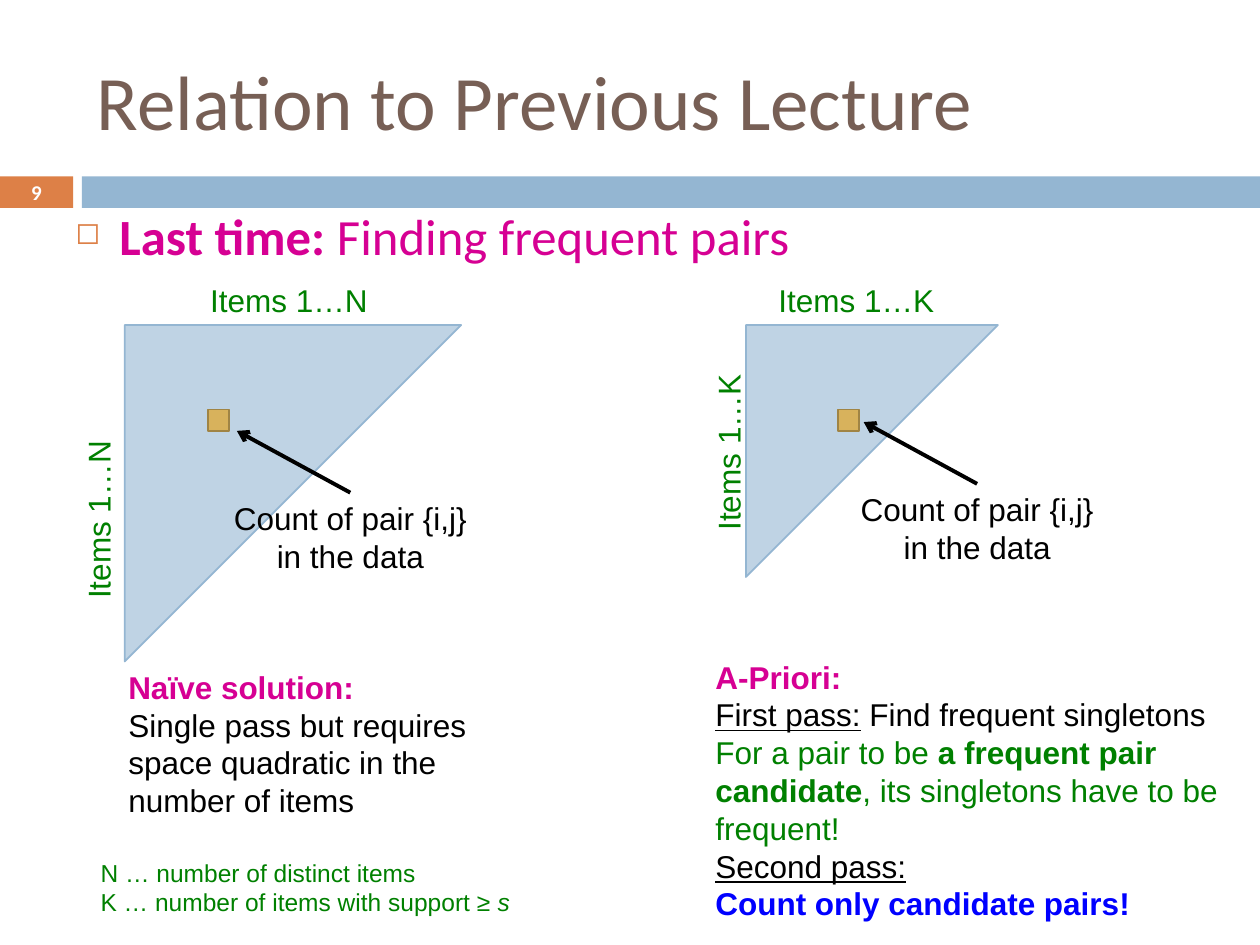
from lxml import etree
from pptx import Presentation
from pptx.dml.color import RGBColor
from pptx.enum.shapes import MSO_CONNECTOR, MSO_SHAPE
from pptx.enum.text import MSO_ANCHOR, PP_ALIGN
from pptx.oxml.ns import qn
from pptx.util import Inches, Pt

RECT, TRIANGLE = MSO_SHAPE.RECTANGLE, MSO_SHAPE.RIGHT_TRIANGLE
LEFT, CENTER = PP_ALIGN.LEFT, PP_ALIGN.CENTER
TOP, MIDDLE = MSO_ANCHOR.TOP, MSO_ANCHOR.MIDDLE

MAGENTA, GREEN, BLACK, BLUE = "D60093", "008000", "000000", "0000FF"
ORANGE, STEEL = "DD8047", "94B6D2"

# Content: a text is a list of paragraphs, a paragraph a list of (text, format)
BOLD, UNDER = {"bold": True}, {"underline": True}
TITLE = [[("Relation to Previous Lecture", {})]]
NUMBER = [[("9", BOLD)]]
TOPIC = [[("Last time:", BOLD), (" Finding frequent pairs", {})]]
COUNT = [[("Count of pair {i,j} in the data", {})]]
NAIVE = [[("Naïve solution:\n", {"bold": True, "color": MAGENTA}),
          ("Single pass but requires space quadratic in the number of items", {})]]
APRIORI = [
    [("A-Priori:\n", {"bold": True, "color": MAGENTA}),
     ("First pass:", UNDER), (" Find frequent singletons", {})],
    [("For a pair to be ", {"color": GREEN}),
     ("a frequent pair candidate", {"bold": True, "color": GREEN}),
     (", its singletons have to be frequent!\n", {"color": GREEN}),
     ("Second pass:", UNDER), ("\n", {}),
     ("Count only candidate pairs!", {"bold": True, "color": BLUE})],
]
LEGEND = [[("N … number of distinct items", {})],
          [("K … number of items with support ≥ ", {}), ("s", {"italic": True})]]

# Matrices: left edge, side, top label, side label, cell, count box, arrow start
MATRIX_TOP = 2.58
MATRICES = [
    {"label": "Items 1…N", "x": 0.99, "side": 2.67, "top_x": 1.57,
     "side_at": (0.05, 3.92), "cell_x": 1.65, "count": (1.74, 3.91, 2.08, 0.71)},
    {"label": "Items 1…K", "x": 5.92, "side": 2, "top_x": 6.08,
     "side_at": (5.05, 3.38), "cell_x": 6.65, "count": (6.67, 3.84, 2.17, 0.71)},
]
LABEL_SIZE = (1.46, 0.4)
CELL_Y, CELL = 3.25, 0.17
ARROW_RUN, ARROW_RISE = 0.9, 0.49


def rgb(value):
    return RGBColor.from_string(value)


def add_shape(s, kind, at, fill, line=None, rotation=0):
    shape = s.shapes.add_shape(kind, *map(Inches, at))
    shape.shadow.inherit = False
    shape.rotation = rotation
    shape.fill.solid()
    shape.fill.fore_color.rgb = rgb(fill)
    if line:
        shape.line.color.rgb = rgb(line)
        shape.line.width = Pt(1)
    else:
        shape.line.fill.background()


def add_text(s, at, paragraphs, size=18, color=BLACK, font="Arial",
             align=LEFT, anchor=TOP, wrap=True, rotation=0):
    box = s.shapes.add_textbox(*map(Inches, at))
    box.rotation = rotation
    tf = box.text_frame
    tf.word_wrap, tf.vertical_anchor = wrap, anchor
    for i, runs in enumerate(paragraphs):
        p = tf.add_paragraph() if i else tf.paragraphs[0]
        p.alignment = align
        for text, extra in runs:
            for j, piece in enumerate(text.split("\n")):
                if j:
                    p.add_line_break()
                if not piece:
                    continue
                r = p.add_run()
                r.text = piece
                look = {"name": font, "size": Pt(size), "color": color, **extra}
                r.font.color.rgb = rgb(look.pop("color"))
                for name, value in look.items():
                    setattr(r.font, name, value)
    return tf


def add_bullet(p, char, color, percent, indent):
    pPr = p._p.get_or_add_pPr()
    pPr.set("marL", str(Inches(indent)))
    pPr.set("indent", str(-Inches(indent)))
    clr = etree.SubElement(pPr, qn("a:buClr"))
    etree.SubElement(clr, qn("a:srgbClr"), val=color)
    etree.SubElement(pPr, qn("a:buSzPct"), val=str(percent * 1000))
    etree.SubElement(pPr, qn("a:buChar"), char=char)


def add_arrow(s, x, y):
    ends = (x, y, x - ARROW_RUN, y - ARROW_RISE)
    line = s.shapes.add_connector(MSO_CONNECTOR.STRAIGHT, *map(Inches, ends))
    line.line.color.rgb = rgb(BLACK)
    line.line.width = Pt(2.25)
    etree.SubElement(line.line._get_or_add_ln(), qn("a:tailEnd"), type="arrow")
    etree.SubElement(line._element.spPr, qn("a:effectLst"))


def add_matrix(s, m):
    add_shape(s, TRIANGLE, (m["x"], MATRIX_TOP, m["side"], m["side"]),
              "BFD3E4", STEEL, rotation=90)
    label = [[(m["label"], {})]]
    add_text(s, m["side_at"] + LABEL_SIZE, label, color=GREEN, wrap=False, rotation=270)
    add_text(s, (m["top_x"], 2.18) + LABEL_SIZE, label, color=GREEN, wrap=False)
    add_shape(s, RECT, (m["cell_x"], CELL_Y, CELL, CELL), "D8B25C", "A08444")
    add_text(s, m["count"], COUNT, align=CENTER)
    left, top, width, _ = m["count"]
    add_arrow(s, left + width / 2, top)


def main():
    prs = Presentation()
    prs.slide_width, prs.slide_height = Inches(10), Inches(7.5)
    s = prs.slides.add_slide(prs.slide_layouts[6])

    # Header band, title and slide number
    add_shape(s, RECT, (0, 1.4, 0.58, 0.25), ORANGE)
    add_shape(s, RECT, (0.65, 1.4, 9.35, 0.25), STEEL)
    add_text(s, (0.67, 0.25, 8.92, 1.08), TITLE, 44, "775F55", "Calibri", anchor=MIDDLE)
    add_text(s, (0, 1.39, 0.58, 0.27), NUMBER, 12, "FFFFFF", "Calibri", CENTER, MIDDLE)

    # Topic line
    tf = add_text(s, (0.5, 1.58, 9, 2), TOPIC, 29, MAGENTA, "Calibri")
    add_bullet(tf.paragraphs[0], "◻", ORANGE, 60, 0.35)

    # Triangular matrices
    for m in MATRICES:
        add_matrix(s, m)

    # Explanations and legend
    add_text(s, (0.92, 5.25, 2.9, 1.31), NAIVE)
    add_text(s, (5.58, 5.17, 4.33, 2.22), APRIORI)
    add_text(s, (0.7, 6.76, 3.46, 0.57), LEGEND, 14, GREEN, wrap=False)

    prs.save("out.pptx")


if __name__ == "__main__":
    main()
